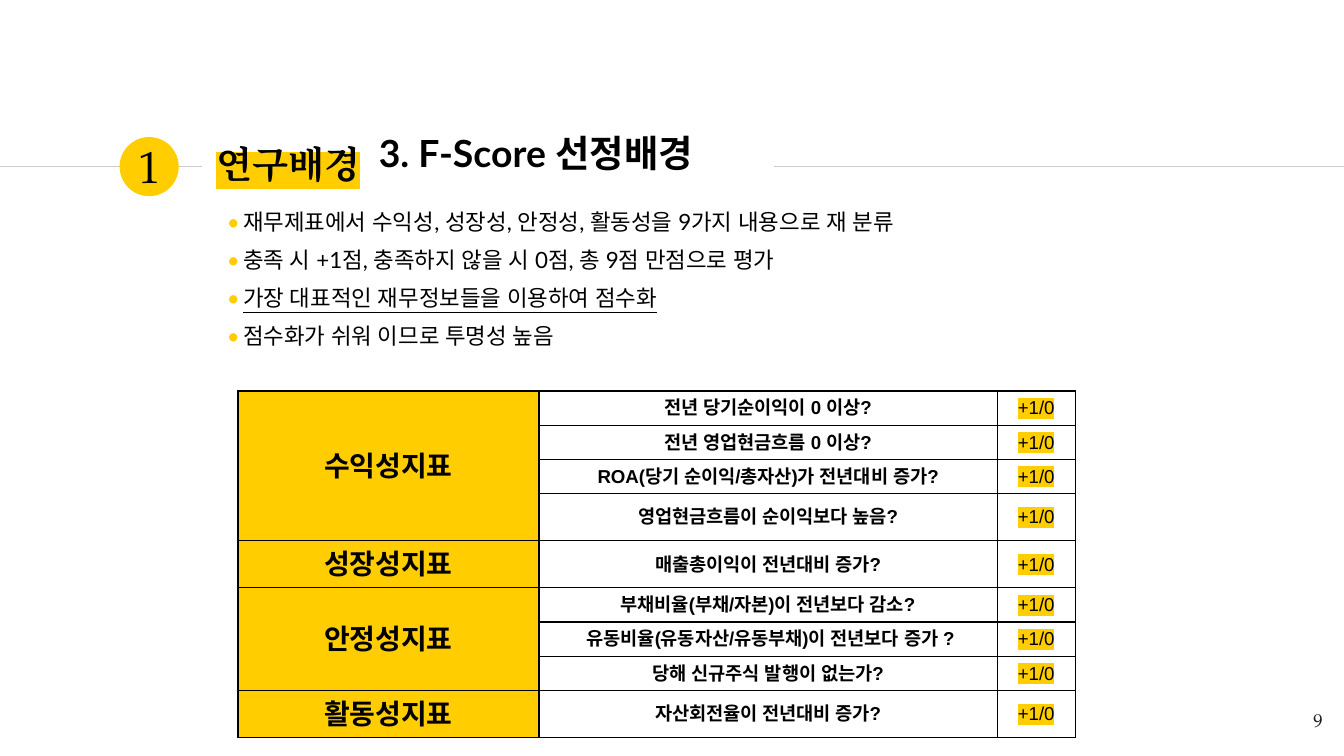
from dataclasses import dataclass

from lxml import etree
from pptx import Presentation
from pptx import util as u
from pptx.dml import color
from pptx.enum import shapes, text
from pptx.oxml import ns


@dataclass(frozen=True)
class Theme:
    accent: str = "FFCD00"
    ink: str = "000000"
    rule: str = "CCCCCC"
    page_ink: str = "1D1D1B"
    serif: str = "TeX Gyre Pagella"
    sans: str = "Lato"
    table_font: str = "Arial"
    number_size: int = 24
    heading_size: int = 20
    group_size: int = 15
    body_size: int = 12
    small_size: int = 10
    line_width: float = 0.75


THEME = Theme()
CENTER = text.PP_ALIGN.CENTER
BULLETS = [
    ("재무제표에서 수익성, 성장성, 안정성, 활동성을 9가지 내용으로 재 분류", False),
    ("충족 시 +1점, 충족하지 않을 시 0점, 총 9점 만점으로 평가", False),
    ("가장 대표적인 재무정보들을 이용하여 점수화", True),
    ("점수화가 쉬워 이므로 투명성 높음", False),
]
INDICATORS = {
    "수익성지표": [
        "전년 당기순이익이 0 이상?",
        "전년 영업현금흐름 0 이상?",
        "ROA(당기 순이익/총자산)가 전년대비 증가?",
        "영업현금흐름이 순이익보다 높음?",
    ],
    "성장성지표": ["매출총이익이 전년대비 증가?"],
    "안정성지표": [
        "부채비율(부채/자본)이 전년보다 감소?",
        " 유동비율(유동자산/유동부채)이 전년보다 증가 ?",
        "당해 신규주식 발행이 없는가?",
    ],
    "활동성지표": ["자산회전율이 전년대비 증가?"],
}
SCORE = "+1/0"
TALL_ROWS = (3, 4, 8)
TALL_HEIGHT = 0.35


def rgb(value):
    return color.RGBColor.from_string(value)


def add_color(parent, tag, value):
    element = etree.SubElement(parent, ns.qn(tag))
    etree.SubElement(element, ns.qn("a:srgbClr"), val=value)
    return element


def write(paragraph, content, *, size, font, ink=THEME.ink, bold=False,
          underline=False, highlight=None, align=None, before=None, spacing=None):
    paragraph.alignment = align
    if before is not None:
        paragraph.space_before = u.Pt(before)
    if spacing is not None:
        paragraph.line_spacing = spacing
    run = paragraph.add_run()
    run.text = content
    run.font.size = u.Pt(size)
    run.font.bold = bold
    run.font.underline = underline
    run.font.color.rgb = rgb(ink)
    properties = run.font._element
    if highlight:
        mark = add_color(properties, "a:highlight", highlight)
        properties.find(ns.qn("a:solidFill")).addnext(mark)
    run.font.name = font
    for tag in ("a:ea", "a:cs"):
        etree.SubElement(properties, ns.qn(tag), typeface=font)


def add_text_frame(slide, box, inset=(0.1, 0.1), anchor=text.MSO_ANCHOR.TOP):
    frame = slide.shapes.add_textbox(*map(u.Inches, box)).text_frame
    frame.word_wrap = True
    frame.vertical_anchor = anchor
    frame.margin_left = frame.margin_right = u.Inches(inset[0])
    frame.margin_top = frame.margin_bottom = u.Inches(inset[1])
    return frame


def add_rule(slide, start, end, y):
    line = slide.shapes.add_connector(
        shapes.MSO_CONNECTOR.STRAIGHT, *map(u.Inches, (start, y, end, y)))
    line.line.color.rgb = rgb(THEME.rule)
    line.line.width = u.Pt(THEME.line_width)
    etree.SubElement(line._element.spPr, ns.qn("a:effectLst"))


def add_header(slide, box):
    left, top, width, height = box
    middle = top + height / 2
    add_rule(slide, left, left + 1.5, middle)
    add_rule(slide, left + 5.76, left + width, middle)

    diameter = 0.44
    badge = slide.shapes.add_shape(
        shapes.MSO_SHAPE.OVAL,
        *map(u.Inches, (left + 0.89, middle - diameter / 2, diameter, diameter)))
    badge.shadow.inherit = False
    badge.fill.solid()
    badge.fill.fore_color.rgb = rgb(THEME.accent)
    badge.line.fill.background()

    section = add_text_frame(slide, (left + 1.51, top, 4.24, 0.48),
                             anchor=text.MSO_ANCHOR.MIDDLE)
    write(section.paragraphs[0], "연구배경", size=THEME.heading_size,
          font=THEME.serif, bold=True, highlight=THEME.accent)
    topic = add_text_frame(slide, (left + 2.64, top - 0.11, 4.51, 0.59))
    write(topic.paragraphs[0], "3. F-Score 선정배경", size=THEME.heading_size,
          font=THEME.sans, bold=True, before=6)
    topic.paragraphs[0]._p.get_or_add_pPr().set("marL", str(u.Inches(0.08)))
    number = add_text_frame(slide, (left + 0.95, top, 0.33, 0.5), inset=(0, 0.05))
    write(number.paragraphs[0], "1", size=THEME.number_size, font=THEME.serif,
          align=CENTER)


def add_bullets(slide, box):
    frame = add_text_frame(slide, box)
    for index, (content, underline) in enumerate(BULLETS):
        paragraph = frame.add_paragraph() if index else frame.paragraphs[0]
        write(paragraph, content, size=THEME.body_size, font=THEME.sans,
              underline=underline, before=6)
        properties = paragraph._p.get_or_add_pPr()
        properties.set("marL", str(u.Inches(0.2)))
        properties.set("indent", str(u.Inches(-0.12)))
        add_color(properties, "a:buClr", THEME.accent)
        etree.SubElement(properties, ns.qn("a:buFont"), typeface=THEME.sans)
        etree.SubElement(properties, ns.qn("a:buChar"), char="•")


def format_cell(cell, fill=None):
    cell.vertical_anchor = text.MSO_ANCHOR.MIDDLE
    cell.margin_left = cell.margin_right = u.Inches(0.07)
    cell.margin_top = cell.margin_bottom = u.Inches(0.02)
    properties = cell._tc.get_or_add_tcPr()
    for side in ("a:lnL", "a:lnR", "a:lnT", "a:lnB"):
        border = etree.SubElement(properties, ns.qn(side),
                                  w=str(u.Pt(THEME.line_width)))
        add_color(border, "a:solidFill", THEME.ink)
    if fill:
        cell.fill.solid()
        cell.fill.fore_color.rgb = rgb(fill)
    else:
        cell.fill.background()


def add_indicator_table(slide, box):
    row_count = sum(map(len, INDICATORS.values()))
    table = slide.shapes.add_table(row_count, 3, *map(u.Inches, box)).table
    table.first_row = table.horz_banding = False
    for column, width in zip(table.columns, (2.24, 3.41, 0.58)):
        column.width = u.Inches(width)
    tall_total = TALL_HEIGHT * len(TALL_ROWS)
    short_height = (box[3] - tall_total) / (row_count - len(TALL_ROWS))
    for number, row in enumerate(table.rows):
        row.height = u.Inches(TALL_HEIGHT if number in TALL_ROWS else short_height)
        for index, cell in enumerate(row.cells):
            format_cell(cell, THEME.accent if index == 0 else None)

    def fill_cell(row, column, content, size=THEME.small_size, **style):
        write(table.cell(row, column).text_frame.paragraphs[0], content, size=size,
              font=THEME.table_font, align=CENTER, spacing=1.03, **style)

    first = 0
    for group, questions in INDICATORS.items():
        last = first + len(questions) - 1
        if last > first:
            table.cell(first, 0).merge(table.cell(last, 0))
        fill_cell(first, 0, group, size=THEME.group_size, bold=True)
        for row, question in enumerate(questions, first):
            fill_cell(row, 1, question, bold=True)
            fill_cell(row, 2, SCORE, highlight=THEME.accent)
        first = last + 1


def add_page_number(slide, box):
    frame = add_text_frame(slide, box)
    write(frame.paragraphs[0], "9", size=THEME.small_size, font=THEME.serif,
          ink=THEME.page_ink, align=text.PP_ALIGN.RIGHT)


def main():
    presentation = Presentation()
    presentation.slide_width = u.Inches(10)
    presentation.slide_height = presentation.slide_width * 9 // 16
    slide = presentation.slides.add_slide(presentation.slide_layouts[6])
    add_header(slide, (0, 0.98, 10, 0.52))
    add_bullets(slide, (1.51, 1.45, 7.45, 4.06))
    add_indicator_table(slide, (1.77, 2.91, 6.23, 2.58))
    add_page_number(slide, (9.34, 5.19, 0.6, 0.43))
    presentation.save("out.pptx")


if __name__ == "__main__":
    main()
